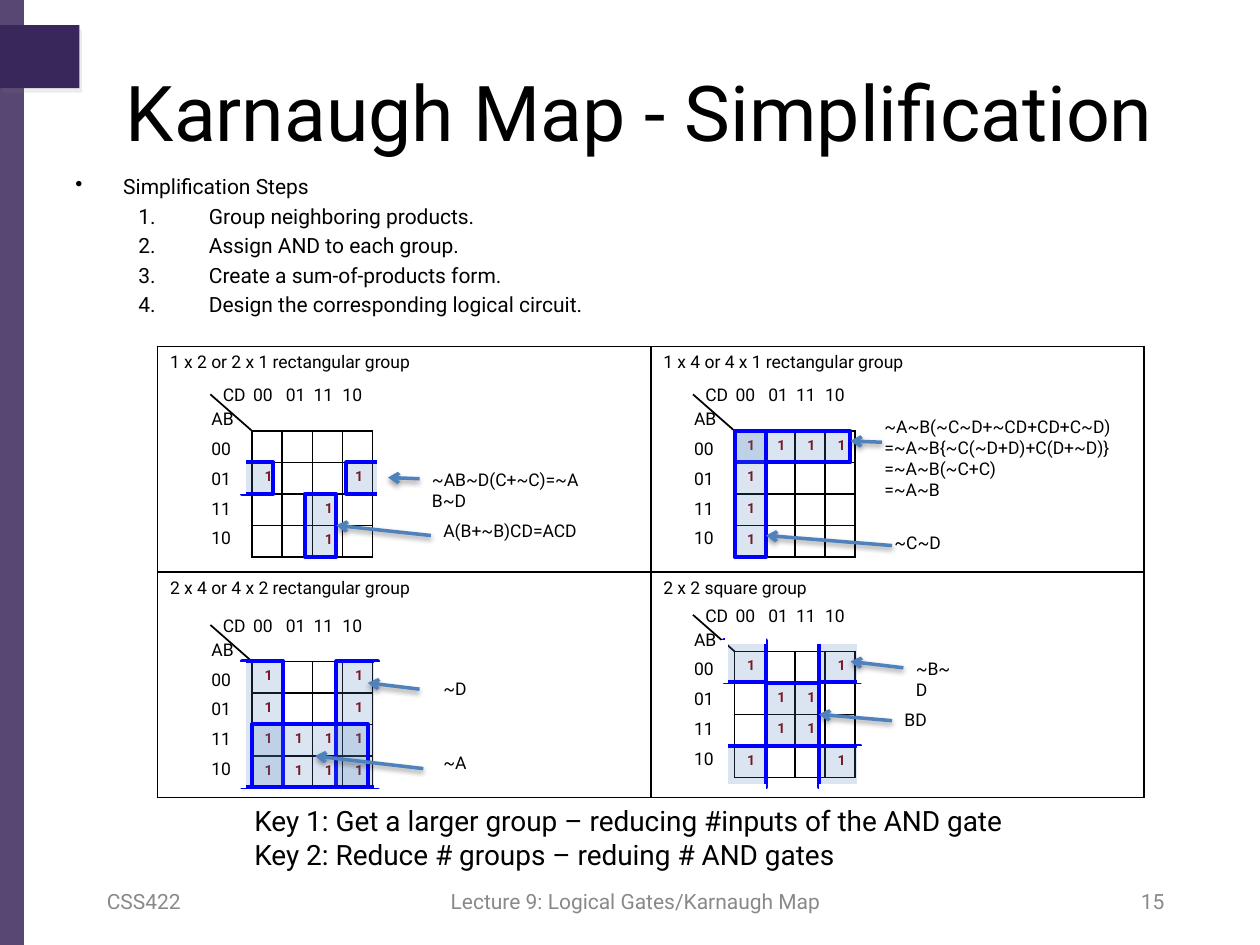
"""Build the slide on simplifying Karnaugh maps."""
from typing import Any, NamedTuple

from lxml.etree import SubElement
from pptx import Presentation
from pptx.dml.color import RGBColor
from pptx.enum.shapes import MSO_CONNECTOR, MSO_SHAPE
from pptx.enum.text import MSO_ANCHOR, PP_ALIGN
from pptx.oxml.ns import qn
from pptx.util import Cm, Pt

BLACK = RGBColor(0, 0, 0)
WHITE = RGBColor(255, 255, 255)
GRAY = RGBColor(0x89, 0x89, 0x89)
PURPLE = RGBColor(0x39, 0x27, 0x5B)
BLUE = RGBColor(0, 0, 255)
STEEL = RGBColor(0x4F, 0x81, 0xBD)
MAROON = RGBColor(0x80, 0, 0)
FONT = "Roboto"


class Box(NamedTuple):
    left: float
    top: float
    width: float
    height: float


class Line(NamedTuple):
    x1: float
    y1: float
    x2: float
    y2: float


class Label(NamedTuple):
    box: Box
    text: str
    size: int = 10
    color: RGBColor = BLACK
    align: PP_ALIGN = PP_ALIGN.LEFT
    anchor: MSO_ANCHOR = MSO_ANCHOR.TOP


class Kmap(NamedTuple):
    x: float
    y: float
    rows: tuple[str, ...]


STEPS = ("Simplification Steps\nGroup neighboring products.\nAssign AND to each group.\n"
         "Create a sum-of-products form.\nDesign the corresponding logical circuit.")
CASES = [["1 x 2 or 2 x 1 rectangular group", "1 x 4 or 4 x 1 rectangular group"],
         ["2 x 4 or 4 x 2 rectangular group", "2 x 2 square group"]]
TITLE = Label(Box(0.58, 0.42, 9, 0.92), "Karnaugh Map - Simplification", 44,
              align=PP_ALIGN.CENTER, anchor=MSO_ANCHOR.MIDDLE)
FOOT = [Label(Box(x, 6.95, w, 0.4), text, 12, GRAY, align, MSO_ANCHOR.MIDDLE)
        for x, w, text, align in (
            (0.75, 2.33, "CSS422", PP_ALIGN.LEFT),
            (3.46, 3.17, "Lecture 9: Logical Gates/Karnaugh Map", PP_ALIGN.CENTER),
            (7.01, 2.33, "15", PP_ALIGN.RIGHT))]
KEYS = Label(Box(1.92, 6.33, 6.25, 0.64),
             "Key 1: Get a larger group – reducing #inputs of the AND gate\n"
             "Key 2: Reduce # groups – reduing # AND gates", 16)
MAPS = [Kmap(2, 3.42, ("0000", "1001", "0010", "0010")),
        Kmap(2, 5.25, ("1001", "1001", "1111", "1111")),
        Kmap(5.83, 3.42, ("1111", "1000", "1000", "1000")),
        Kmap(5.83, 5.17, ("1001", "0110", "0110", "1001"))]
LOOPS = [Box(2.42, 3.92, 0.25, 0.5), Box(2.75, 3.67, 0.33, 0.25), Box(1.92, 3.67, 0.25, 0.25),
         Box(5.83, 3.42, 0.92, 0.25), Box(5.83, 3.42, 0.25, 1), Box(6.08, 5.42, 0.42, 0.5),
         *(Box(x, y, 0.33, 0.33) for y in (5.08, 5.92) for x in (6.5, 5.75)),
         Box(2.67, 5.25, 0.33, 1), Box(1.92, 5.25, 0.33, 1), Box(2, 5.75, 0.92, 0.5)]
MASKS = [Line(6.42, 5.08, 6.92, 5.08), Line(6.5, 6.25, 7, 6.25), Line(5.58, 6.25, 6.08, 6.25),
         Line(6.83, 5.92, 6.83, 6.25), Line(6.83, 5.08, 6.83, 5.42),
         Line(5.75, 5.83, 5.75, 6.25), Line(5.75, 5.08, 5.75, 5.42),
         Line(1.92, 3.58, 1.92, 3.92), Line(5.75, 5.08, 6.08, 5.08),
         Line(3, 5.25, 3, 6.25), Line(1.92, 5.25, 1.92, 6.25)]
TERMS = [Label(Box(3.33, 3.67, 1.42, 0.27), "~AB~D(C+~C)=~AB~D"),
         Label(Box(3.42, 4.08, 1.32, 0.27), "A(B+~B)CD=ACD"),
         Label(Box(6.92, 3.25, 2.03, 0.77), "~A~B(~C~D+~CD+CD+C~D)\n=~A~B{~C(~D+D)+C(D+~D)}\n"
               "=~A~B(~C+C)\n=~A~B"),
         Label(Box(7, 4.17, 0.6, 0.27), "~C~D"), Label(Box(3.42, 5.33, 0.42, 0.27), "~D"),
         Label(Box(3.42, 5.92, 0.42, 0.27), "~A"), Label(Box(7.17, 5.17, 0.56, 0.27), "~B~D"),
         Label(Box(7.08, 5.58, 0.42, 0.27), "BD")]
ARROWS = [Line(3.33, 3.8, 3.08, 3.79), Line(3.42, 4.25, 2.67, 4.17), Line(7, 3.51, 6.75, 3.5),
          Line(7.08, 4.33, 6.08, 4.25), Line(7.08, 5.72, 6.5, 5.67), Line(7.17, 5.3, 6.75, 5.25),
          Line(3.33, 5.47, 2.92, 5.42), Line(3.36, 6.1, 2.5, 6)]


def cm(inch: float) -> Cm:
    """Turn inches into a length in centimetres."""
    return Cm(inch * 2.54)


def style(para: Any, size: int, color: RGBColor = BLACK, bold: bool = False) -> None:
    """Set the font of a whole paragraph."""
    para.font.name, para.font.size, para.font.bold = FONT, Pt(size), bold
    para.font.color.rgb = color


def write(shapes: Any, label: Label) -> Any:
    """Add a text box and return its frame."""
    frame = shapes.add_textbox(*map(cm, label.box)).text_frame
    frame.word_wrap, frame.vertical_anchor = True, label.anchor
    frame.text = label.text
    for para in frame.paragraphs:
        para.alignment = label.align
        style(para, label.size, label.color)
    return frame


def shade(props: Any, color: str, alpha: int, blur: float, dist: float, turn: int) -> None:
    """Give shape properties an outer shadow."""
    drop = SubElement(SubElement(props, qn("a:effectLst")), qn("a:outerShdw"),
                      blurRad=str(Pt(blur)), dist=str(Pt(dist)), dir=str(turn * 60000),
                      algn="ctr", rotWithShape="0")
    SubElement(SubElement(drop, qn("a:srgbClr"), val=color), qn("a:alpha"), val=str(alpha * 1000))


def block(shapes: Any, box: Box, fill: RGBColor, alpha: int = 100,
          edge: RGBColor | None = None, weight: float = 2.25) -> Any:
    """Add a filled rectangle."""
    rect = shapes.add_shape(MSO_SHAPE.RECTANGLE, *map(cm, box))
    rect.shadow.inherit = False
    rect.fill.solid()
    rect.fill.fore_color.rgb = fill
    if alpha < 100:
        tint = rect._element.spPr.find(".//" + qn("a:srgbClr"))
        SubElement(tint, qn("a:alpha"), val=str(alpha * 1000))
    if edge is None:
        rect.line.fill.background()
    else:
        rect.line.color.rgb, rect.line.width = edge, Pt(weight)
    return rect


def stroke(shapes: Any, line: Line, color: RGBColor, weight: float, arrow: bool = False) -> None:
    """Add a straight line, with a head and a shadow if it is an arrow."""
    link = shapes.add_connector(MSO_CONNECTOR.STRAIGHT, *map(cm, line))
    link.line.color.rgb, link.line.width = color, Pt(weight)
    props = link._element.spPr
    if arrow:
        SubElement(props.find(qn("a:ln")), qn("a:tailEnd"), type="arrow")
        shade(props, "000000", 38, 3.1, 1.6, 90)
    else:
        SubElement(props, qn("a:effectLst"))


def grid(shapes: Any, box: Box, texts: list[list[str]], size: int,
         color: RGBColor = BLACK, bold: bool = False) -> None:
    """Add a bordered table with equal rows and columns."""
    table = shapes.add_table(len(texts), len(texts[0]), *map(cm, box)).table
    table.first_row = table.horz_banding = False
    for r, row in enumerate(texts):
        for c, text in enumerate(row):
            cell = table.cell(r, c)
            props = cell._tc.get_or_add_tcPr()
            for side in "LRTB":
                edge = SubElement(props, qn(f"a:ln{side}"), w=str(Pt(1)))
                SubElement(SubElement(edge, qn("a:solidFill")), qn("a:srgbClr"), val=str(BLACK))
            cell.fill.background()
            cell.text = text
            para = cell.text_frame.paragraphs[0]
            style(para, size, color, bold)
            if not text:
                SubElement(para._p, qn("a:endParaRPr"), sz=str(size * 100))


def draw(shapes: Any, kmap: Kmap) -> None:
    """Add a Karnaugh map with its axis labels."""
    x, y, rows = kmap
    ones = [[mark.replace("0", "") for mark in row] for row in rows]
    grid(shapes, Box(x, y, 0.91, 1), ones, 8, MAROON, True)
    axes = shapes.add_group_shape().shapes
    stroke(axes, Line(x, y, x - 0.33, y - 0.29), BLACK, 1)
    head = write(axes, Label(Box(x - 0.33, y - 0.42, 1.37, 0.27), "CD\t00\t01\t11\t10"))
    tabs = SubElement(head.paragraphs[0]._p.get_or_add_pPr(), qn("a:tabLst"))
    tabs.getparent().insert(0, tabs)
    for stop in (0.24, 0.5, 0.72, 0.95):
        SubElement(tabs, qn("a:tab"), pos=str(cm(stop)), algn="l")
    side = write(axes, Label(Box(x - 0.42, y - 0.23, 0.39, 1.22), "AB\n00\n01\n11\n10"))
    for para in side.paragraphs:
        para.space_before, para.space_after = Pt(3), Pt(2)


def steps(shapes: Any) -> None:
    """Add the bulleted heading and its numbered steps."""
    frame = write(shapes, Label(Box(0.5, 1.33, 4.33, 1.42), STEPS, 12))
    for i, para in enumerate(frame.paragraphs):
        para.level, para.space_before = min(i, 1), Pt(2.4)
        props = para._p.get_or_add_pPr()
        left, hang = (1.06, 0.56) if i else (0.38, 0.38)
        props.set("marL", str(cm(left)))
        props.set("indent", str(-cm(hang)))
        if i:
            mark = SubElement(props, qn("a:buAutoNum"), type="arabicPeriod")
        else:
            mark = SubElement(props, qn("a:buChar"), char="•")
        props.find(qn("a:defRPr")).addprevious(mark)


def main() -> None:
    """Build and save the slide."""
    deck = Presentation()
    deck.slide_width, deck.slide_height = cm(10), cm(7.5)
    shapes = deck.slides.add_slide(deck.slide_layouts[6]).shapes
    block(shapes, Box(0, 0, 0.19, 7.5), PURPLE, 85)
    badge = block(shapes, Box(0, 0.2, 0.63, 0.5), PURPLE)
    badge._element.spPr.remove(badge._element.spPr.find(qn("a:effectLst")))
    shade(badge._element.spPr, "808080", 15, 0, 3, 60)
    write(shapes, TITLE)
    steps(shapes)
    for label in FOOT:
        write(shapes, label)
    grid(shapes, Box(1.25, 2.75, 7.83, 3.58), CASES, 10)
    write(shapes, KEYS)
    for kmap in MAPS:
        draw(shapes, kmap)
    for loop in LOOPS:
        block(shapes, loop, STEEL, 20, BLUE)
    block(shapes, Box(3, 3.58, 0.25, 0.42), WHITE, edge=WHITE, weight=0.75)
    for mask in MASKS:
        stroke(shapes, mask, WHITE, 4.5)
    for term in TERMS:
        write(shapes, term)
    for arrow in ARROWS:
        stroke(shapes, arrow, STEEL, 2, True)
    deck.save("out.pptx")


if __name__ == "__main__":
    main()
